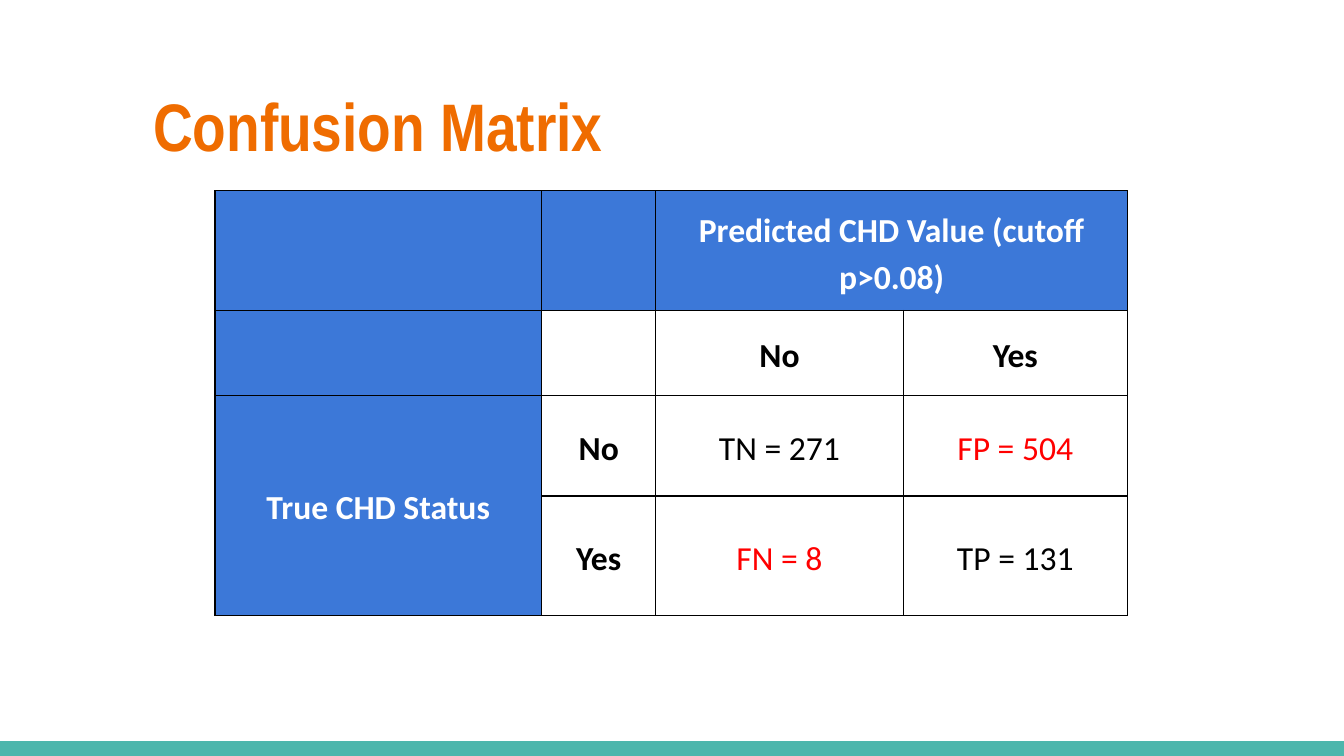
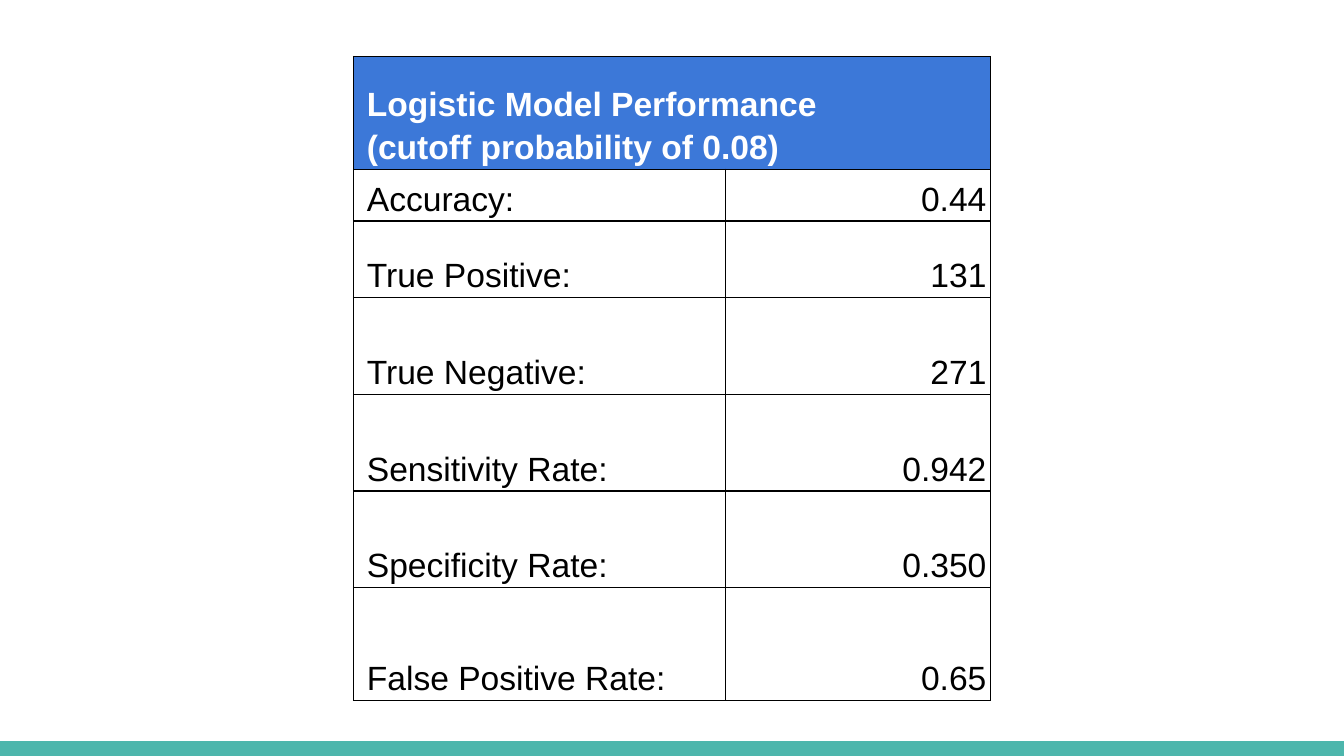
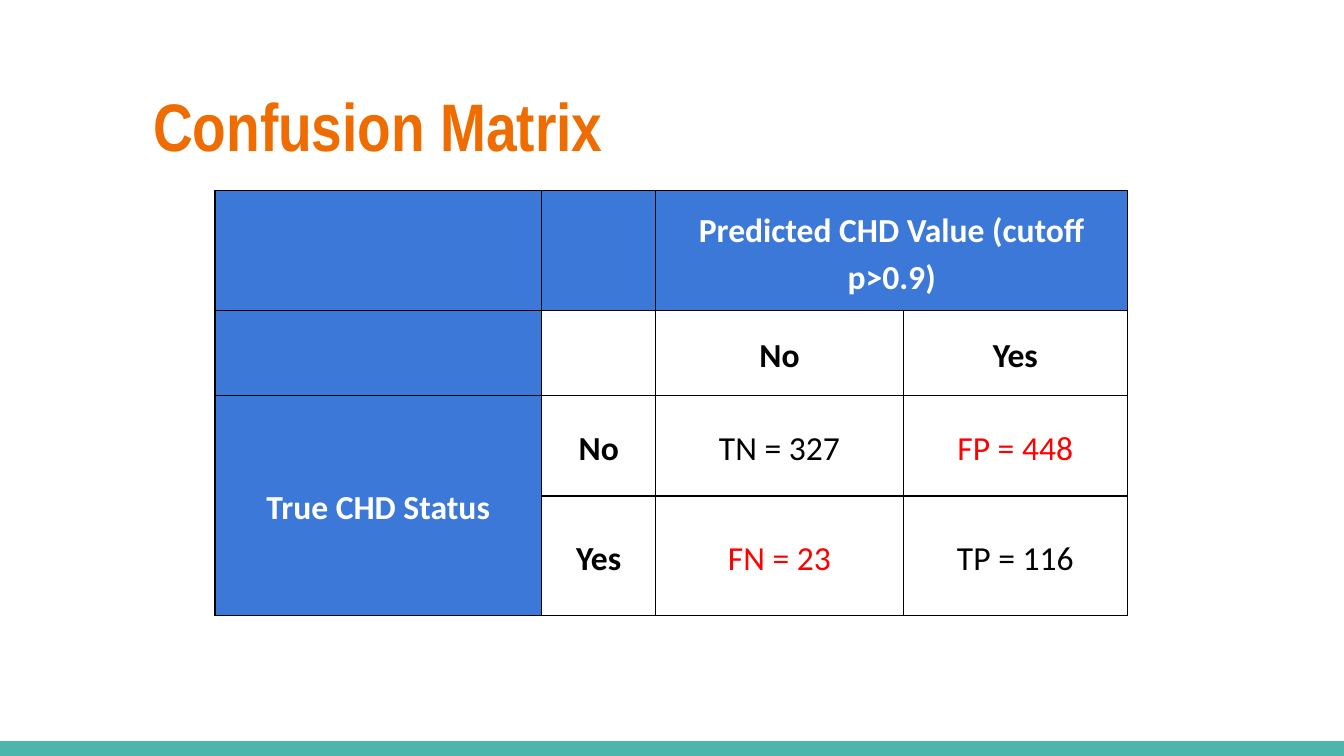
import dataclasses

import lxml.etree
import pptx
import pptx.dml.color
import pptx.enum.shapes
import pptx.enum.text
import pptx.oxml.ns
import pptx.util

Inches = pptx.util.Inches
ALIGN = pptx.enum.text.PP_ALIGN
ANCHOR = pptx.enum.text.MSO_ANCHOR

SLIDE_WIDTH = Inches(10)
SLIDE_HEIGHT = SLIDE_WIDTH * 9 // 16


@dataclasses.dataclass(frozen=True)
class Theme:
    band: str = "4DB6AC"
    title: str = "EF6C00"
    header: str = "3C78D8"
    light: str = "FFFFFF"
    dark: str = "000000"
    error: str = "FF0000"
    title_font: str = "Arial Narrow"
    matrix_font: str = "Calibri"
    metrics_font: str = "Arial"
    title_size: int = 36
    table_size: int = 18
    border_width: float = 0.75
    line_spacing: float = 1.15


THEME = Theme()


@dataclasses.dataclass(frozen=True)
class CellStyle:
    font: str
    color: str = THEME.dark
    bold: bool = False
    fill: str = ""
    align: ALIGN = ALIGN.CENTER
    anchor: ANCHOR = ANCHOR.MIDDLE
    margin_x: float = 0.1
    margin_y: float = 0.1


VALUE = CellStyle(THEME.matrix_font)
ERROR = dataclasses.replace(VALUE, color=THEME.error)
LABEL = dataclasses.replace(VALUE, bold=True)
HEADER = dataclasses.replace(LABEL, color=THEME.light, fill=THEME.header)

METRIC_NAME = CellStyle(THEME.metrics_font, align=ALIGN.LEFT,
                        anchor=ANCHOR.BOTTOM, margin_y=0.02)
METRIC_VALUE = dataclasses.replace(METRIC_NAME, align=ALIGN.RIGHT, margin_x=0.03)
METRIC_HEADER = dataclasses.replace(METRIC_NAME, color=THEME.light, bold=True,
                                    fill=THEME.header)


def rgb(color):
    return pptx.dml.color.RGBColor.from_string(color)


def set_attributes(target, values):
    for name, value in values.items():
        setattr(target, name, value)


def set_margins(target, horizontal, vertical):
    set_attributes(target, {
        "margin_left": Inches(horizontal), "margin_right": Inches(horizontal),
        "margin_top": Inches(vertical), "margin_bottom": Inches(vertical),
    })


def write_text(paragraph, text, font, size, color, bold):
    """Write text, turning each newline into a line break."""
    paragraph.text = text
    for run in paragraph.runs:
        set_attributes(run.font, {"name": font, "size": pptx.util.Pt(size), "bold": bold})
        run.font.color.rgb = rgb(color)


def add_band_slide(presentation):
    """Add a blank slide with the band along its lower edge."""
    slide = presentation.slides.add_slide(presentation.slide_layouts[6])
    band_height = Inches(0.11)
    band = slide.shapes.add_shape(pptx.enum.shapes.MSO_SHAPE.RECTANGLE, Inches(0),
                                  SLIDE_HEIGHT - band_height, SLIDE_WIDTH, band_height)
    band.shadow.inherit = False
    band.fill.solid()
    band.fill.fore_color.rgb = rgb(THEME.band)
    band.line.fill.background()
    return slide


def add_title(slide, text):
    box = slide.shapes.add_textbox(Inches(1.04), Inches(0.53), Inches(5.28), Inches(0.75))
    frame = box.text_frame
    frame.word_wrap = True
    set_margins(frame, 0.1, 0.1)
    write_text(frame.paragraphs[0], text, THEME.title_font, THEME.title_size,
               THEME.title, True)


def add_borders(cell):
    properties = cell._tc.get_or_add_tcPr()
    width = str(int(pptx.util.Pt(THEME.border_width)))
    for side in ("lnL", "lnR", "lnT", "lnB"):
        line = lxml.etree.SubElement(properties, pptx.oxml.ns.qn(f"a:{side}"), w=width)
        fill = lxml.etree.SubElement(line, pptx.oxml.ns.qn("a:solidFill"))
        lxml.etree.SubElement(fill, pptx.oxml.ns.qn("a:srgbClr"), val=THEME.dark)


def format_cell(cell, text, style):
    add_borders(cell)
    if style.fill:
        cell.fill.solid()
        cell.fill.fore_color.rgb = rgb(style.fill)
    else:
        cell.fill.background()
    if not text:
        return
    set_margins(cell, style.margin_x, style.margin_y)
    cell.vertical_anchor = style.anchor
    paragraph = cell.text_frame.paragraphs[0]
    set_attributes(paragraph, {"alignment": style.align,
                               "line_spacing": THEME.line_spacing})
    write_text(paragraph, text, style.font, THEME.table_size, style.color, style.bold)


def add_table(slide, left, top, widths, heights, rows, merges):
    """Add a table; rows hold (text, style) pairs, merges hold corner pairs."""
    frame = slide.shapes.add_table(len(heights), len(widths), Inches(left), Inches(top),
                                   Inches(sum(widths)), Inches(sum(heights)))
    table = frame.table
    set_attributes(table, {"first_row": False, "horz_banding": False})
    for column, width in zip(table.columns, widths):
        column.width = Inches(width)
    for row, height in zip(table.rows, heights):
        row.height = Inches(height)
    for row_index, row in enumerate(rows):
        for column_index, (text, style) in enumerate(row):
            format_cell(table.cell(row_index, column_index), text, style)
    for first, last in merges:
        table.cell(*first).merge(table.cell(*last))


def add_confusion_matrix(presentation, cutoff, true_negative, false_positive,
                         false_negative, true_positive):
    slide = add_band_slide(presentation)
    add_title(slide, "Confusion Matrix")
    blank = ("", HEADER)
    rows = [
        [blank, blank, (f"Predicted CHD Value (cutoff p>{cutoff})", HEADER), blank],
        [blank, ("", LABEL), ("No", LABEL), ("Yes", LABEL)],
        [("True CHD Status", HEADER), ("No", LABEL),
         (f"TN = {true_negative}", VALUE), (f"FP = {false_positive}", ERROR)],
        [blank, ("Yes", LABEL),
         (f"FN = {false_negative}", ERROR), (f"TP = {true_positive}", VALUE)],
    ]
    add_table(slide, 1.6, 1.42, (2.43, 0.85, 1.84, 1.67), (0.63, 0.63, 0.75, 0.89),
              rows, [((0, 2), (0, 3)), ((2, 0), (3, 0))])


def add_performance(presentation, heading, metrics):
    slide = add_band_slide(presentation)
    rows = [[(heading, METRIC_HEADER), ("", METRIC_HEADER)]]
    rows += [[(f"{name}:", METRIC_NAME), (value, METRIC_VALUE)] for name, value in metrics]
    add_table(slide, 2.63, 0.42, (2.77, 1.97), (0.84, 0.38, 0.57, 0.72, 0.72, 0.72, 0.84),
              rows, [((0, 0), (0, 1))])


def main():
    presentation = pptx.Presentation()
    set_attributes(presentation, {"slide_width": SLIDE_WIDTH, "slide_height": SLIDE_HEIGHT})
    add_confusion_matrix(presentation, "0.08", 271, 504, 8, 131)
    add_performance(
        presentation,
        "Logistic Model Performance\n(cutoff probability of 0.08)",
        [("Accuracy", "0.44"), ("True Positive", "131"), ("True Negative", "271"),
         ("Sensitivity Rate", "0.942"), ("Specificity Rate", "0.350"),
         ("False Positive Rate", "0.65")])
    add_confusion_matrix(presentation, "0.9", 327, 448, 23, 116)
    presentation.save("out.pptx")


if __name__ == "__main__":
    main()
